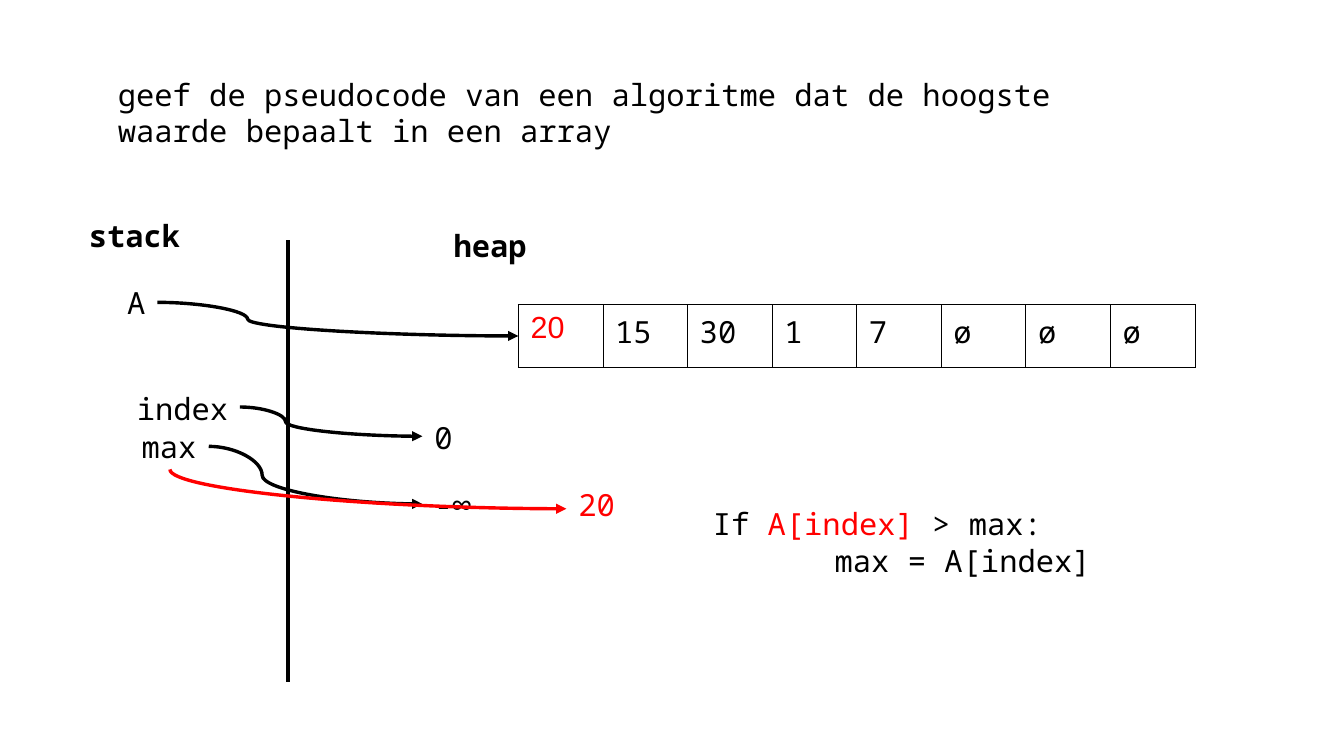
from lxml import etree
from pptx import Presentation
from pptx.dml.color import RGBColor
from pptx.enum.shapes import MSO_CONNECTOR
from pptx.enum.text import MSO_ANCHOR, MSO_AUTO_SIZE, PP_ALIGN
from pptx.oxml import parse_xml
from pptx.oxml.ns import nsdecls, qn
from pptx.util import Cm, Pt

STRAIGHT, CURVE = MSO_CONNECTOR.STRAIGHT, MSO_CONNECTOR.CURVE
TOP, LEFT = MSO_ANCHOR.TOP, PP_ALIGN.LEFT
FIT_SHAPE = MSO_AUTO_SIZE.SHAPE_TO_FIT_TEXT
TITLE_ONLY = 5

COLORS = {"ink": "000000", "accent": "FF0000"}
MONO, SANS = "Noto Sans Mono", "Arial"
TEXT_SIZE = Pt(18)
BORDER_WIDTH = Pt(0.57)
LABEL_HEIGHT = 1.12


class MemoryDiagram:
    """Holds the style and the current slide; lengths are centimetres."""

    def __init__(self, slide):
        self.slide = slide

    def add_run(self, paragraph, text, color="ink", bold=False, font=MONO):
        run = paragraph.add_run()
        run.text = text
        run.font.name = font
        run.font.size = TEXT_SIZE
        run.font.bold = bold
        run.font.color.rgb = RGBColor.from_string(COLORS[color])

    def place(self, shape, left, top, width, height):
        shape.left, shape.top = Cm(left), Cm(top)
        shape.width, shape.height = Cm(width), Cm(height)

    def title(self, text, *box):
        shape = self.slide.shapes.title
        self.place(shape, *box)
        frame = shape.text_frame
        frame.word_wrap = True
        frame.auto_size = FIT_SHAPE
        frame.vertical_anchor = TOP
        frame.paragraphs[0].alignment = LEFT
        self.add_run(frame.paragraphs[0], text)

    def text(self, lines, left, top, width, height=LABEL_HEIGHT, wrap=False):
        """Each line is (indent, runs); each run is (text, color, bold)."""
        shape = self.slide.shapes.add_textbox(Cm(left), Cm(top), Cm(width), Cm(height))
        frame = shape.text_frame
        frame.word_wrap = wrap
        frame.auto_size = FIT_SHAPE
        for number, (indent, runs) in enumerate(lines):
            paragraph = frame.add_paragraph() if number else frame.paragraphs[0]
            if indent:
                paragraph._p.get_or_add_pPr().set("marL", str(Cm(indent)))
            for run in runs:
                self.add_run(paragraph, *run)

    def label(self, text, left, top, width, color="ink", bold=False):
        self.text([(0, [(text, color, bold)])], left, top, width)

    def array(self, values, left, top, width, height):
        frame = self.slide.shapes.add_table(
            1, len(values), Cm(left), Cm(top), Cm(width), Cm(height))
        table = frame.table
        table.first_row = table.horz_banding = False
        for column, (value, color, font) in enumerate(values):
            table.columns[column].width = Cm(width / len(values))
            cell = table.cell(0, column)
            cell.fill.background()
            self.add_run(cell.text_frame.paragraphs[0], value, color, font=font)
            self.border(cell)

    def border(self, cell):
        properties = cell._tc.get_or_add_tcPr()
        for position, side in enumerate("LRTB"):
            properties.insert(position, parse_xml(
                f'<a:ln{side} {nsdecls("a")} w="{BORDER_WIDTH}"><a:solidFill>'
                f'<a:srgbClr val="{COLORS["ink"]}"/></a:solidFill></a:ln{side}>'))

    def line(self, kind, start, end, color="ink"):
        connector = self.slide.shapes.add_connector(
            kind, *(Cm(value) for value in (*start, *end)))
        connector.line.color.rgb = RGBColor.from_string(COLORS[color])
        connector.line.width = Pt(0)
        etree.SubElement(connector._element.spPr, qn("a:effectLst"))
        return connector

    def arrow(self, start, end, color="ink"):
        connector = self.line(CURVE, start, end, color)
        outline = connector.line._get_or_add_ln()
        etree.SubElement(outline, qn("a:tailEnd"), type="triangle")
        return connector

    def s_arrow(self, start, end):
        """S-curve that bends at a quarter of its width."""
        geometry = self.arrow(start, end)._element.spPr.find(qn("a:prstGeom"))
        etree.SubElement(geometry.find(qn("a:avLst")), qn("a:gd"),
                         name="adj1", fmla="val 25000")

    def down_then_right_arrow(self, start, end, color):
        """Quarter curve: a mirrored connector turned by 270 degrees."""
        middle_x, middle_y = (start[0] + end[0]) / 2, (start[1] + end[1]) / 2
        half_width, half_height = (end[1] - start[1]) / 2, (end[0] - start[0]) / 2
        connector = self.arrow((middle_x + half_width, middle_y - half_height),
                               (middle_x - half_width, middle_y + half_height), color)
        properties = connector._element.spPr
        properties.find(qn("a:xfrm")).set("rot", str(270 * 60000))
        properties.find(qn("a:prstGeom")).set("prst", "curvedConnector2")


def main():
    presentation = Presentation()
    presentation.slide_width, presentation.slide_height = Cm(28), Cm(15.75)
    layout = presentation.slide_layouts[TITLE_ONLY]
    diagram = MemoryDiagram(presentation.slides.add_slide(layout))

    # Assignment
    diagram.title("geef de pseudocode van een algoritme dat de hoogste "
                  "waarde bepaalt in een array", 2.2, 1.45, 20.2, 2.36)

    # Array on the heap
    others = [(value, "ink", MONO) for value in ("15", "30", "1", "7", "ø", "ø", "ø")]
    diagram.array([("20", "accent", SANS), *others], 10.8, 6.35, 14.1, 1.3)

    # Stack and heap, divided by a line
    diagram.line(STRAIGHT, (6, 5), (6, 14.2))
    diagram.label("stack", 1.6, 4.39, 2.41, bold=True)
    diagram.label("heap", 9.2, 4.6, 2.08, bold=True)

    # Variables and their values
    for name, left, top, width in (("A", 2.4, 5.8, 0.91), ("index", 2.6, 8, 2.41),
                                   ("max", 2.7, 8.8, 1.78), ("0", 8.8, 8.6, 0.89),
                                   ("-∞", 8.8, 10, 1.27)):
        diagram.label(name, left, top, width)
    diagram.label("20", 11.8, 10, 1.4, color="accent")

    # References from variables to values
    for start, end in (((3.28, 6.3), (10.8, 7)),
                       ((5, 8.48), (8.8, 9.09)),
                       ((4.35, 9.3), (8.8, 10.5))):
        diagram.s_arrow(start, end)
    diagram.down_then_right_arrow((3.54, 9.78), (11.8, 10.6), "accent")

    # Pseudocode
    diagram.text([(0, [("If ",), ("A[index]", "accent"), (" > max:",)]),
                  (2.54, [("max = A[index]",)])],
                 14.6, 10.4, 11.6, 2.4, wrap=True)

    presentation.save("out.pptx")


if __name__ == "__main__":
    main()
